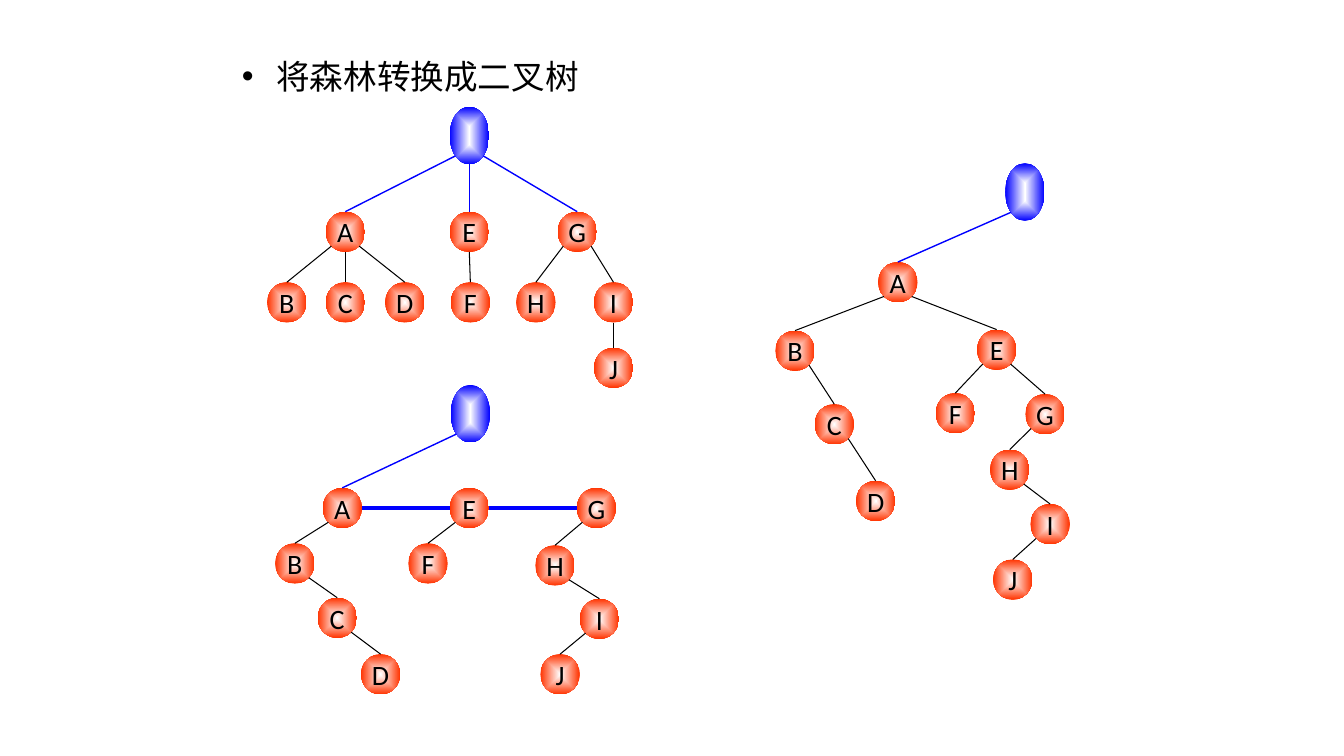
from math import sqrt
from lxml.etree import SubElement
from pptx import Presentation
from pptx.dml.color import RGBColor
from pptx.enum.shapes import MSO_CONNECTOR, MSO_SHAPE
from pptx.enum.text import MSO_ANCHOR, MSO_AUTO_SIZE, PP_ALIGN
from pptx.oxml.ns import qn
from pptx.util import Inches, Pt

HEADING = "将森林转换成二叉树"
ROOT = "root"
# Each tree: node -> (left, top, parent)
FOREST = {
    ROOT: (4.46, 1.06, None),
    "A": (3.23, 2.1, ROOT), "E": (4.46, 2.1, ROOT), "G": (5.53, 2.1, ROOT),
    "B": (2.65, 2.8, "A"), "C": (3.23, 2.8, "A"), "D": (3.82, 2.8, "A"),
    "F": (4.47, 2.8, "E"), "H": (5.12, 2.8, "G"), "I": (5.89, 2.8, "G"),
    "J": (5.89, 3.45, "I"),
}
LINKED_SIBLINGS = {
    ROOT: (4.47, 3.82, None),
    "A": (3.2, 4.84, ROOT), "E": (4.46, 4.84, None), "G": (5.72, 4.84, None),
    "B": (2.73, 5.39, "A"), "C": (3.15, 5.93, "B"), "D": (3.58, 6.49, "C"),
    "F": (4.05, 5.39, "E"),
    "H": (5.31, 5.41, "G"), "I": (5.75, 5.94, "H"), "J": (5.36, 6.49, "I"),
}
BINARY_TREE = {
    ROOT: (9.97, 1.62, None),
    "A": (8.71, 2.6, ROOT), "B": (7.69, 3.28, "A"), "C": (8.08, 4.01, "B"),
    "D": (8.49, 4.77, "C"), "E": (9.69, 3.27, "A"), "F": (9.28, 3.9, "E"),
    "G": (10.17, 3.91, "E"), "H": (9.82, 4.46, "G"), "I": (10.22, 5, "H"),
    "J": (9.85, 5.55, "I"),
}
SIBLING_LINKS = [("A", "E"), ("E", "G")]

FONT = "Calibri"
BLACK, WHITE, RED, BLUE = "000000", "FFFFFF", "FF3300", "0000FF"
NODE_WIDTH, NODE_HEIGHT, ROOT_HEIGHT = 0.39, 0.4, 0.57
STRAIGHT_DOWN = 0.1  # largest sideways step still drawn from the bottom


def rgb(color):
    return RGBColor.from_string(color)


def format_run(run, size):
    for key, value in {"name": FONT, "size": Pt(size), "bold": False}.items():
        setattr(run.font, key, value)
    run.font.color.rgb = rgb(BLACK)


def glow(fill, edge):
    """Gradient from a white centre to the edge colour."""
    fill.gradient()
    for stop, color, position in zip(fill.gradient_stops, (WHITE, edge), (0, 1)):
        stop.color.rgb = rgb(color)
        stop.position = position


def center_gradient(shape):
    gradient = shape._element.spPr.find(qn("a:gradFill"))
    gradient.remove(gradient.find(qn("a:lin")))
    centre = SubElement(gradient, qn("a:path"), path="shape")
    SubElement(centre, qn("a:fillToRect"), l="50000", t="50000", r="50000", b="50000")


def add_node(slide, label, left, top):
    is_root = label == ROOT
    node = slide.shapes.add_shape(
        MSO_SHAPE.OVAL, Inches(left), Inches(top), Inches(NODE_WIDTH),
        Inches(ROOT_HEIGHT if is_root else NODE_HEIGHT))
    node.shadow.inherit = False
    node.line.fill.background()
    glow(node.fill, BLUE if is_root else RED)
    center_gradient(node)
    if not is_root:
        frame = node.text_frame
        frame.word_wrap = False
        frame.vertical_anchor = MSO_ANCHOR.MIDDLE
        paragraph = frame.paragraphs[0]
        paragraph.alignment = PP_ALIGN.CENTER
        run = paragraph.add_run()
        run.text = label
        format_run(run, 20)
    return node


def add_line(slide, start, end, color, width):
    line = slide.shapes.add_connector(
        MSO_CONNECTOR.STRAIGHT, *(int(value) for value in (*start, *end)))
    line.line.color.rgb = rgb(color)
    line.line.width = Pt(width)
    SubElement(line._element.spPr, qn("a:effectLst"))
    return line


def add_branch(slide, parent, child, color, width):
    """Line from the parent's lower rim to the top of the child."""
    step = child.left - parent.left
    x = parent.left + parent.width / 2
    y = parent.top + parent.height
    if abs(step) > Inches(STRAIGHT_DOWN):
        x += (1 if step > 0 else -1) * parent.width / 2 / sqrt(2)
        y = parent.top + parent.height / 2 * (1 + 1 / sqrt(2))
    line = add_line(slide, (x, y), (child.left + child.width / 2, child.top), color, width)
    line.end_connect(child, 0)


def add_tree(slide, tree):
    nodes = {label: add_node(slide, label, left, top)
             for label, (left, top, _) in tree.items()}
    for label, (_, _, parent) in tree.items():
        if parent:
            color, width = (BLUE, 1) if parent == ROOT else (BLACK, 0.75)
            add_branch(slide, nodes[parent], nodes[label], color, width)
    return nodes


def add_heading(slide):
    heading = slide.shapes.title
    heading.left, heading.top = Inches(2.3), Inches(0.5)
    heading.width, heading.height = Inches(3.77), Inches(0.5)
    frame = heading.text_frame
    frame.word_wrap = True
    frame.auto_size = MSO_AUTO_SIZE.NONE
    frame.vertical_anchor = MSO_ANCHOR.TOP
    paragraph = frame.paragraphs[0]
    paragraph.alignment = PP_ALIGN.LEFT
    properties = paragraph._p.get_or_add_pPr()
    properties.set("marL", str(Inches(0.34)))
    properties.set("indent", str(-Inches(0.34)))
    SubElement(properties, qn("a:buFont"), typeface="Arial")
    SubElement(properties, qn("a:buChar"), char="•")
    run = paragraph.add_run()
    run.text = HEADING
    format_run(run, 24)


def main():
    presentation = Presentation()
    presentation.slide_width, presentation.slide_height = Inches(13.33), Inches(7.5)
    slide = presentation.slides.add_slide(presentation.slide_layouts[5])
    add_heading(slide)
    add_tree(slide, FOREST)
    linked = add_tree(slide, LINKED_SIBLINGS)
    add_tree(slide, BINARY_TREE)
    for first, second in SIBLING_LINKS:
        left, right = linked[first], linked[second]
        y = left.top + left.height / 2
        add_line(slide, (left.left + left.width, y), (right.left, y), BLUE, 2.25)
    presentation.save("out.pptx")


if __name__ == "__main__":
    main()
